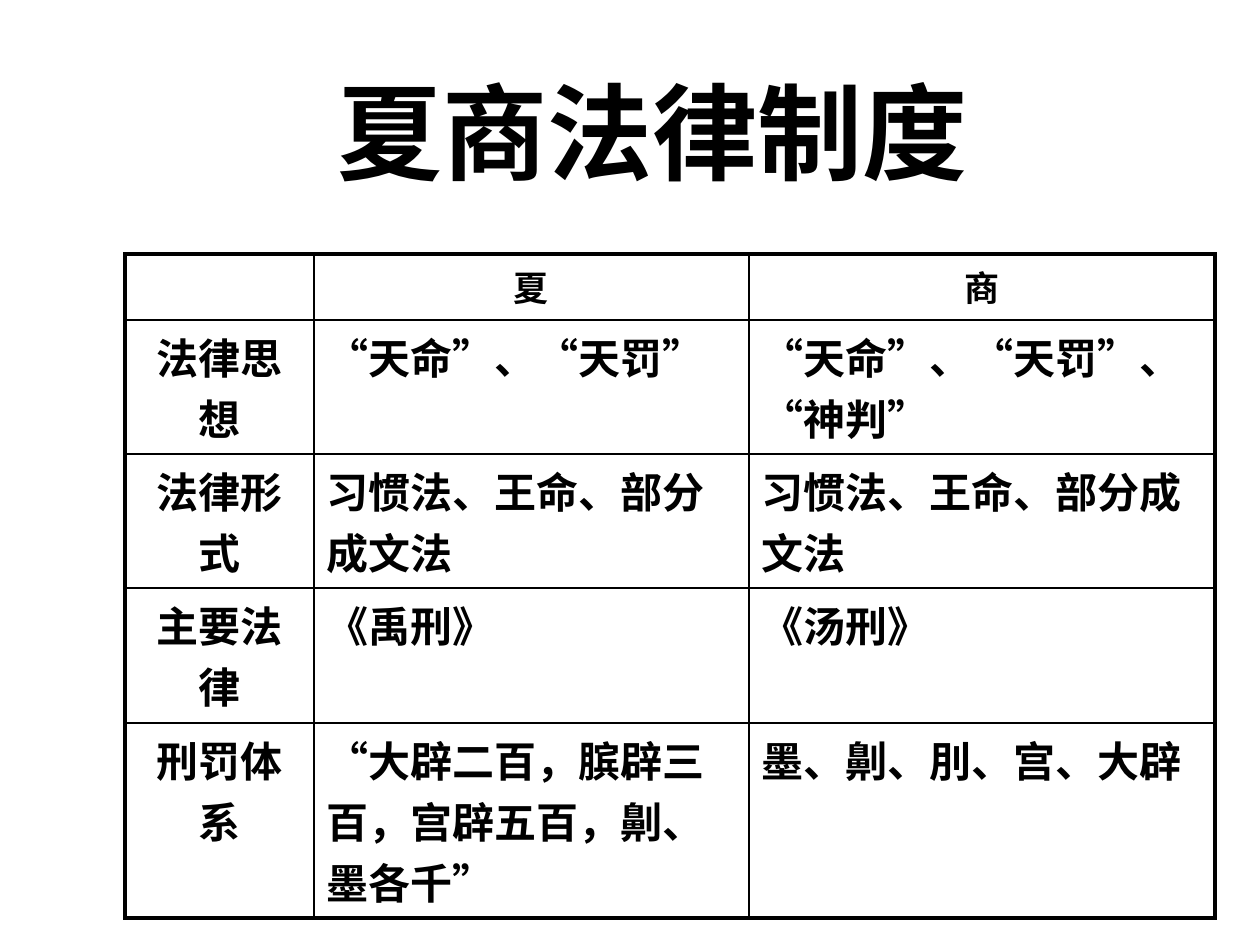
from typing import NamedTuple

from lxml import etree
from pptx import Presentation
from pptx.dml.color import RGBColor
from pptx.enum.lang import MSO_LANGUAGE_ID
from pptx.enum.text import MSO_ANCHOR, PP_ALIGN
from pptx.oxml.ns import qn
from pptx.util import Emu, Pt

BLACK = RGBColor(0, 0, 0)
LEFT, CENTER = PP_ALIGN.LEFT, PP_ALIGN.CENTER
MIDDLE = MSO_ANCHOR.MIDDLE
CHINESE = MSO_LANGUAGE_ID.SIMPLIFIED_CHINESE
SCALE = 914400 // 126
SERIF, SANS, HEAD = "Times New Roman", "Noto Sans CJK SC", "Calibri"
THICK, THIN = 2.25, 1
COLS = (189, 435, 466)


class Row(NamedTuple):
    """One table row: height, texts, and the look of the body cells."""
    height: int
    texts: tuple[str, str, str]
    size: int = 24
    align: PP_ALIGN = LEFT
    font: str = SERIF


ROWS = (
    Row(66, ("", "夏", "商"), size=20, align=CENTER),
    Row(134, ("法律思想", "“天命”、“天罚”", "“天命”、“天罚”、“神判”")),
    Row(134, ("法律形式", "习惯法、王命、部分成文法", "习惯法、王命、部分成文法")),
    Row(135, ("主要法律", "《禹刑》", "《汤刑》")),
    Row(195, ("刑罚体系", "“大辟二百，膑辟三百，宫辟五百，劓、墨各千”",
              "墨、劓、刖、宫、大辟"), font=SANS),
)


def px(count: int) -> Emu:
    """Turn pixels into EMU."""
    return Emu(count * SCALE)


def write(frame, text: str, *, size: int, font: str = SERIF,
          align: PP_ALIGN = LEFT, gap: int = 0) -> None:
    """Write bold black text; gap is the space before in percent."""
    para = frame.paragraphs[0]
    para.alignment = align
    if gap:
        props = para._p.get_or_add_pPr()
        space = etree.SubElement(props, qn("a:spcBef"))
        etree.SubElement(space, qn("a:spcPct"), val=str(gap * 1000))
    run = para.add_run()
    run.text = text
    run.font.size = Pt(size)
    run.font.bold = True
    run.font.name = font
    run.font.color.rgb = BLACK
    run.font.language_id = CHINESE
    etree.SubElement(run._r.get_or_add_rPr(), qn("a:ea"), typeface=SANS)


def frame_cell(cell, row: int, col: int) -> None:
    """Draw the cell borders, thick on the rim of the table."""
    rim = {"L": col == 0, "R": col == len(COLS) - 1,
           "T": row == 0, "B": row == len(ROWS) - 1}
    props = cell._tc.get_or_add_tcPr()
    for side, outer in rim.items():
        width = Pt(THICK if outer else THIN)
        line = etree.SubElement(props, qn(f"a:ln{side}"), w=str(width))
        fill = etree.SubElement(line, qn("a:solidFill"))
        etree.SubElement(fill, qn("a:srgbClr"), val=str(BLACK))
    cell.fill.background()


def add_title(slide, text: str) -> None:
    """Add the slide title."""
    box = slide.shapes.add_textbox(px(64), px(46), px(1177), px(169))
    frame = box.text_frame
    frame.word_wrap = True
    frame.vertical_anchor = MIDDLE
    write(frame, text, size=60, font=HEAD, align=CENTER)


def add_grid(slide) -> None:
    """Add the table that compares the two dynasties."""
    high = sum(row.height for row in ROWS)
    table = slide.shapes.add_table(len(ROWS), len(COLS), px(125), px(254),
                                   px(sum(COLS)), px(high)).table
    table.first_row = table.horz_banding = False
    for col, width in enumerate(COLS):
        table.columns[col].width = px(width)
    for i, row in enumerate(ROWS):
        table.rows[i].height = px(row.height)
        for j, text in enumerate(row.texts):
            cell = table.cell(i, j)
            frame_cell(cell, i, j)
            if text:
                write(cell.text_frame, text, size=row.size, gap=20,
                      font=row.font if j else SERIF,
                      align=row.align if j else CENTER)


deck = Presentation()
deck.slide_width, deck.slide_height = px(1260), px(945)
page = deck.slides.add_slide(deck.slide_layouts[6])
add_title(page, "夏商法律制度")
add_grid(page)
deck.save("out.pptx")
